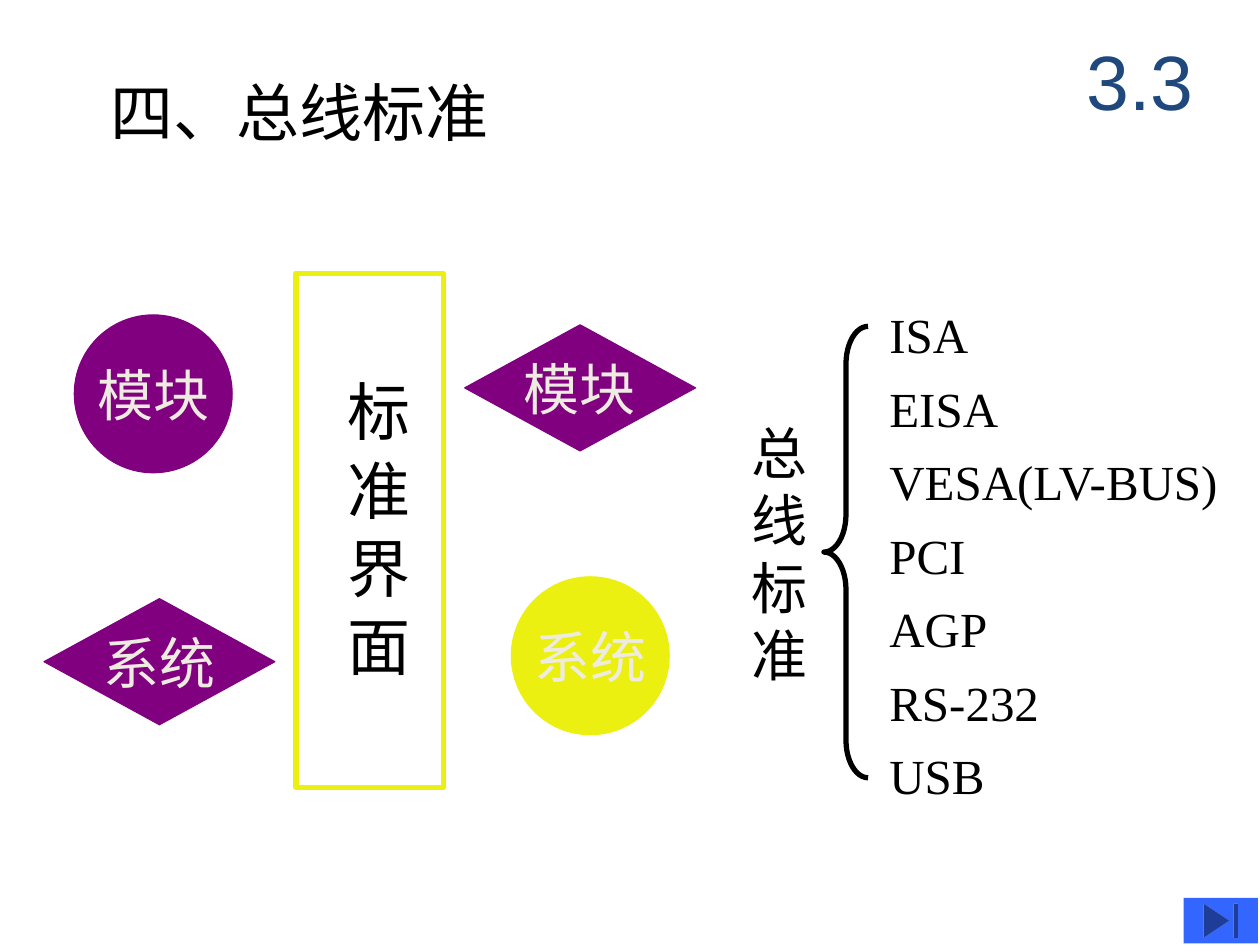
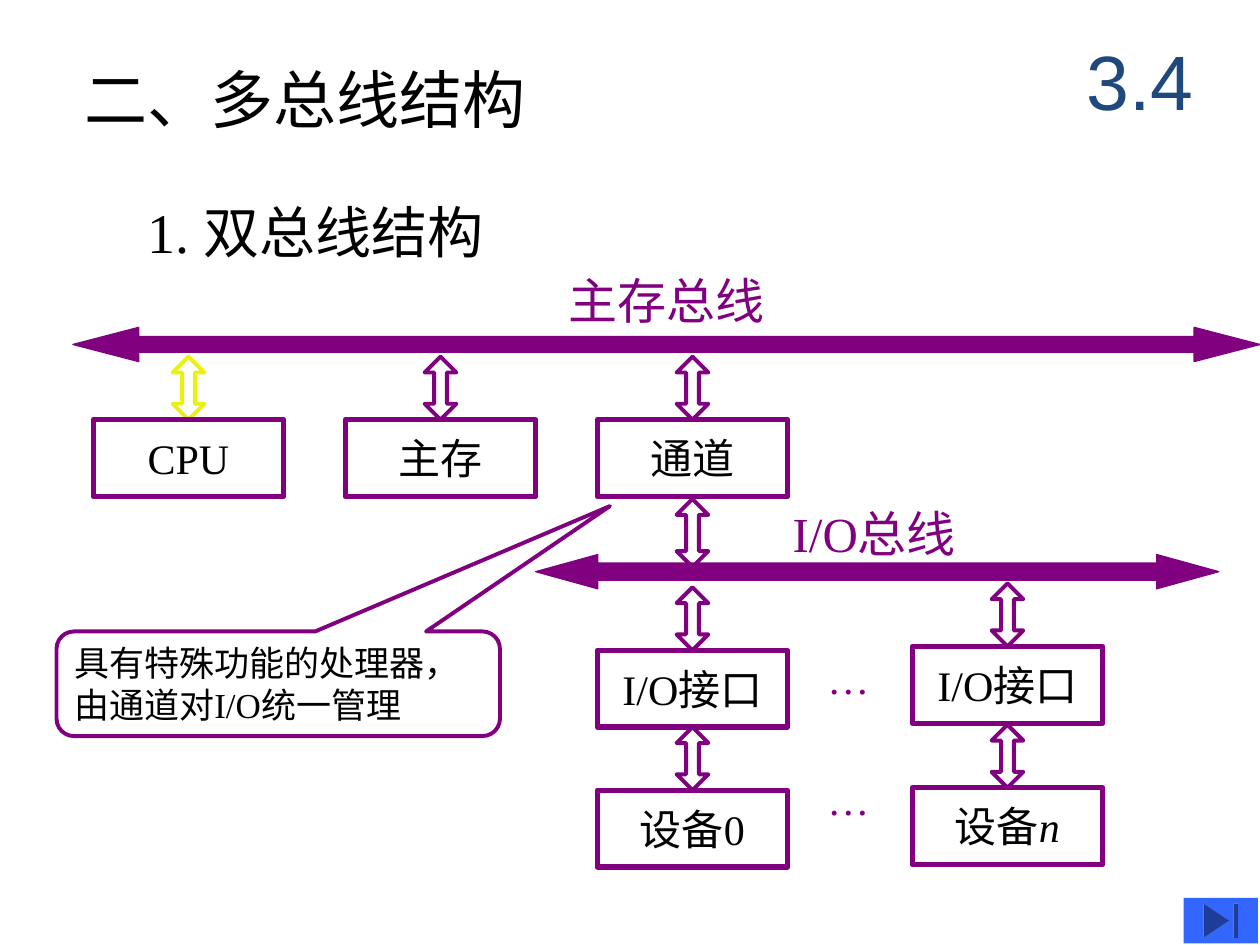
"""Build two slides on bus standards and the dual-bus structure."""
from dataclasses import dataclass

from pptx import Presentation
from pptx.dml.color import RGBColor
from pptx.enum.shapes import MSO_SHAPE
from pptx.enum.text import MSO_ANCHOR, MSO_AUTO_SIZE, PP_ALIGN
from pptx.util import Cm, Pt


@dataclass(frozen=True)
class Theme:
    """Hold colours, fonts and type sizes."""
    ink: str = "000000"
    plum: str = "800080"
    lime: str = "EBF010"
    pale: str = "EEECE1"
    navy: str = "1F497D"
    blue: str = "3366FF"
    serif: str = "Times New Roman"
    sans: str = "Arial"
    body: str = "Calibri"
    mark: int = 44
    head: int = 36
    sub: int = 32
    list: int = 28
    label: int = 24
    note: int = 20


T = Theme()
PAGE = (25.4, 19.05)

NORMS = ["ISA", "EISA", "VESA(LV-BUS)", "PCI", "AGP", "RS-232", "USB"]
PARTS = [
    ("模块", MSO_SHAPE.OVAL, T.plum, (1.5, 6.35)),
    ("系统", MSO_SHAPE.OVAL, T.lime, (10.31, 11.63)),
    ("系统", MSO_SHAPE.DIAMOND, T.plum, (0.89, 12.07)),
    ("模块", MSO_SHAPE.DIAMOND, T.plum, (9.37, 6.55)),
]
SIZES = {MSO_SHAPE.OVAL: (3.18, 3.18), MSO_SHAPE.DIAMOND: (4.65, 2.54)}

NOTE = ["具有特殊功能的处理器，", "由通道对I/O统一管理"]
BUSES = [
    ("主存总线", T.body, (11.46, 5.46), (1.47, 6.6, 23.93, 0.69), (0.458, 1.923)),
    ("I/O总线", T.serif, (15.98, 10.16), (10.8, 11.18, 13.77, 0.69), (0.5, 1.814)),
]
NODES = [
    ("CPU", T.serif, 0, 8.46, T.lime),
    ("主存", T.body, 1, 8.46, T.plum),
    ("通道", T.body, 2, 8.46, T.plum),
    ("I/O接口", T.serif, 2, 13.11, T.plum),
    (("设备", "0"), T.serif, 2, 15.93, T.plum),
    ("I/O接口", T.serif, 3.25, 13.03, T.plum),
    (("设备", ("n", True)), T.serif, 3.25, 15.88, T.plum),
]
NODE = (3.84, 1.55)
LEFT, STEP = 1.88, 5.08
ARROW = (0.64, 1.27)
DOTS = [13.03, 15.47]


def tint(name):
    return RGBColor.from_string(name)


def write(item, lines, size, color=T.ink, font=T.serif, align=PP_ALIGN.LEFT,
          anchor=MSO_ANCHOR.TOP, inset=(0.25, 0.13), space=None):
    frame = item.text_frame
    frame.word_wrap = True
    frame.vertical_anchor = anchor
    frame.margin_left = frame.margin_right = Cm(inset[0])
    frame.margin_top = frame.margin_bottom = Cm(inset[1])
    for i, line in enumerate(lines):
        para = frame.add_paragraph() if i else frame.paragraphs[0]
        para.alignment = align
        if space:
            para.line_spacing = space
        for part in (line,) if isinstance(line, str) else line:
            words, slant = (part, False) if isinstance(part, str) else part
            run = para.add_run()
            run.text = words
            run.font.size = Pt(size)
            run.font.name = font
            run.font.italic = slant
            run.font.color.rgb = tint(color)
    return frame


def label(slide, box, lines, size, **look):
    return write(slide.shapes.add_textbox(*map(Cm, box)), lines, size, **look)


def draw(slide, kind, box, fill=None, line=None, width=0.75, bends=()):
    shape = slide.shapes.add_shape(kind, *map(Cm, box))
    shape.shadow.inherit = False
    for i, bend in enumerate(bends):
        shape.adjustments[i] = bend
    if fill:
        shape.fill.solid()
        shape.fill.fore_color.rgb = tint(fill)
    else:
        shape.fill.background()
    if line:
        shape.line.color.rgb = tint(line)
        shape.line.width = Pt(width)
    else:
        shape.line.fill.background()
    return shape


def link(slide, mid, top, high=ARROW[1], color=T.plum):
    draw(slide, MSO_SHAPE.UP_DOWN_ARROW, (mid - ARROW[0] / 2, top, ARROW[0], high),
         line=color, width=2.25, bends=(0.5, 0.4))


def start(deck, title, spot, mark):
    slide = deck.slides.add_slide(deck.slide_layouts[6])
    label(slide, (*spot, 13, 1.78), [title], T.head)
    label(slide, (21.39, 0.43, 3.18, 2.34), [mark], T.mark, color=T.navy,
          font=T.sans, align=PP_ALIGN.CENTER, anchor=MSO_ANCHOR.MIDDLE)
    draw(slide, MSO_SHAPE.ACTION_BUTTON_END, (23.86, 18.1, 1.5, 0.92), fill=T.blue)
    return slide


def norms(deck):
    slide = start(deck, "四、总线标准", (1.97, 1.35), "3.3")
    label(slide, (17.68, 5.72, 7.7, 10.64), NORMS, T.list, space=1.25)
    draw(slide, MSO_SHAPE.LEFT_BRACE, (16.61, 6.58, 0.89, 9.1), line=T.ink,
         width=3, bends=(0.85, 0.5))
    label(slide, (14.91, 8.31, 1.5, 5.69), list("总线标准"), T.sub)
    for text, kind, color, spot in PARTS:
        shape = draw(slide, kind, (*spot, *SIZES[kind]), fill=color, line=color)
        frame = write(shape, [text], T.sub, color=T.pale, align=PP_ALIGN.CENTER,
                      anchor=MSO_ANCHOR.MIDDLE, inset=(0, 0))
        frame.word_wrap = False
    draw(slide, MSO_SHAPE.RECTANGLE, (5.97, 5.51, 2.97, 10.36), line=T.lime, width=3)
    frame = label(slide, (6.45, 7.42, 2.03, 8.89), ["标 准 界 面"], T.head,
                  inset=(0.13, 0.25))
    frame.auto_size = MSO_AUTO_SIZE.SHAPE_TO_FIT_TEXT
    frame._txBody.bodyPr.set("vert", "eaVert")


def buses(deck):
    slide = start(deck, "二、多总线结构", (1.45, 1.09), "3.4")
    label(slide, (2.72, 3.86, 9, 1.63), ["1. 双总线结构"], T.sub)
    shape = draw(slide, MSO_SHAPE.ROUNDED_RECTANGULAR_CALLOUT, (1.14, 12.73, 8.94, 2.11),
                 line=T.plum, width=2.25, bends=(0.748, -1.698, 0.167))
    write(shape, NOTE, T.note, anchor=MSO_ANCHOR.MIDDLE)
    link(slide, LEFT + 2 * STEP + NODE[0] / 2, 10.06, 1.37)
    for text, font, col, top, color in NODES:
        left = LEFT + col * STEP
        link(slide, left + NODE[0] / 2, top - ARROW[1], color=color)
        shape = draw(slide, MSO_SHAPE.RECTANGLE, (left, top, *NODE), line=T.plum, width=3)
        write(shape, [text], T.label, font=font, align=PP_ALIGN.CENTER,
              anchor=MSO_ANCHOR.MIDDLE)
    for top in DOTS:
        label(slide, (16.43, top, 1.35, 1.27), ["…"], T.label, color=T.plum,
              align=PP_ALIGN.CENTER)
    for text, font, spot, box, bends in BUSES:
        label(slide, (*spot, 6, 1.19), [text], T.list, color=T.plum, font=font,
              inset=(0, 0))
        draw(slide, MSO_SHAPE.LEFT_RIGHT_ARROW, box, fill=T.plum, line=T.plum, bends=bends)


def main():
    deck = Presentation()
    deck.slide_width, deck.slide_height = map(Cm, PAGE)
    norms(deck)
    buses(deck)
    deck.save("out.pptx")


if __name__ == "__main__":
    main()
